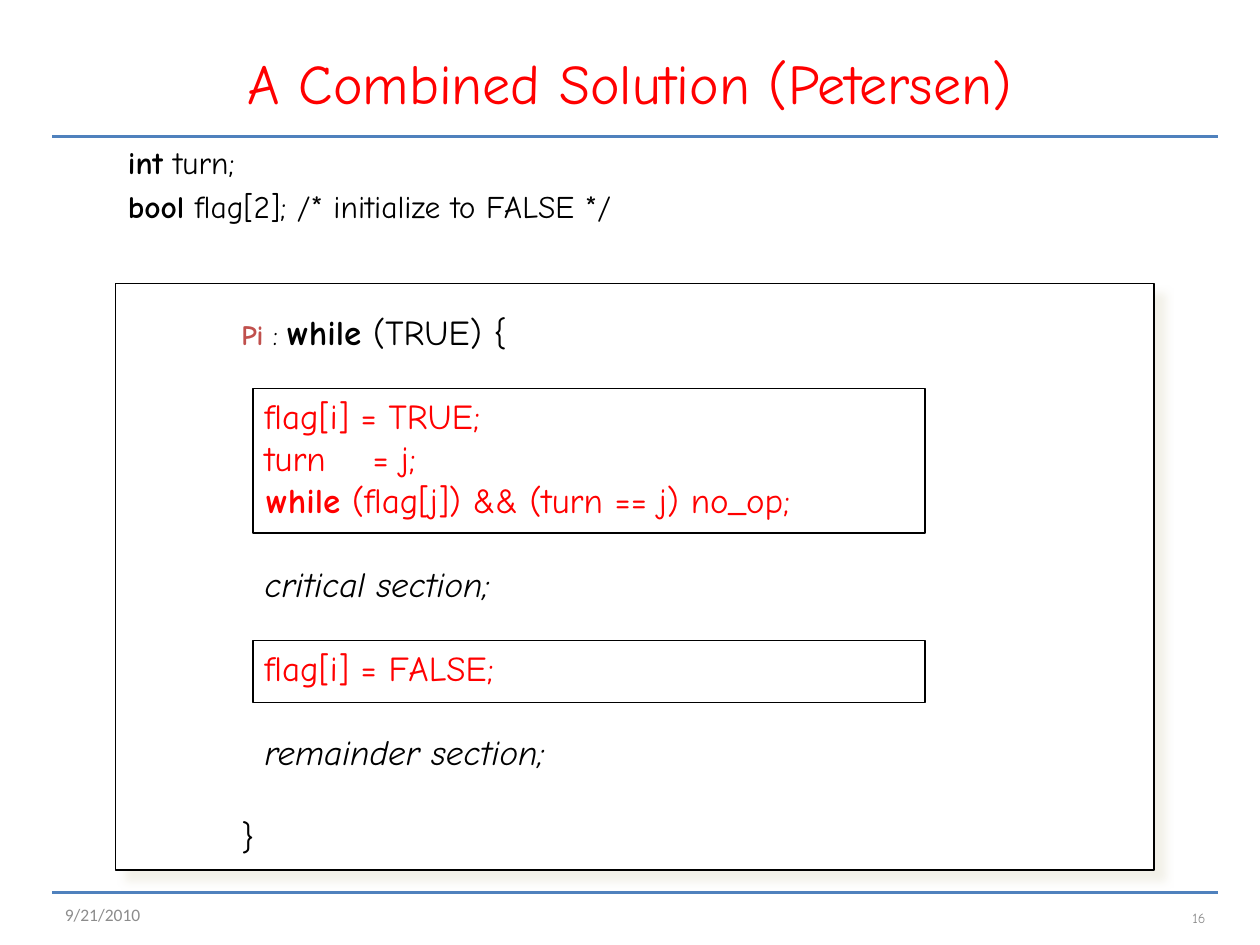
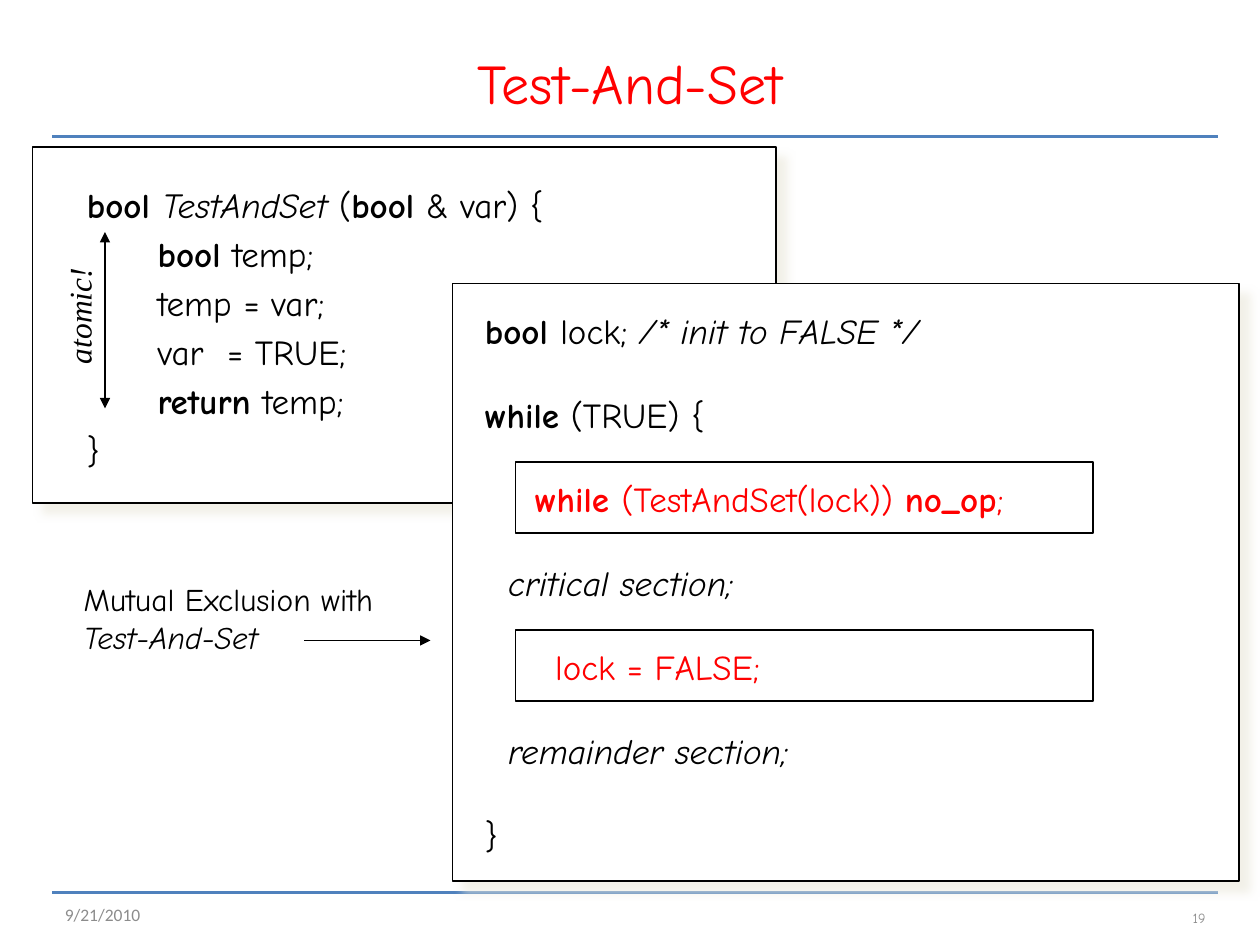
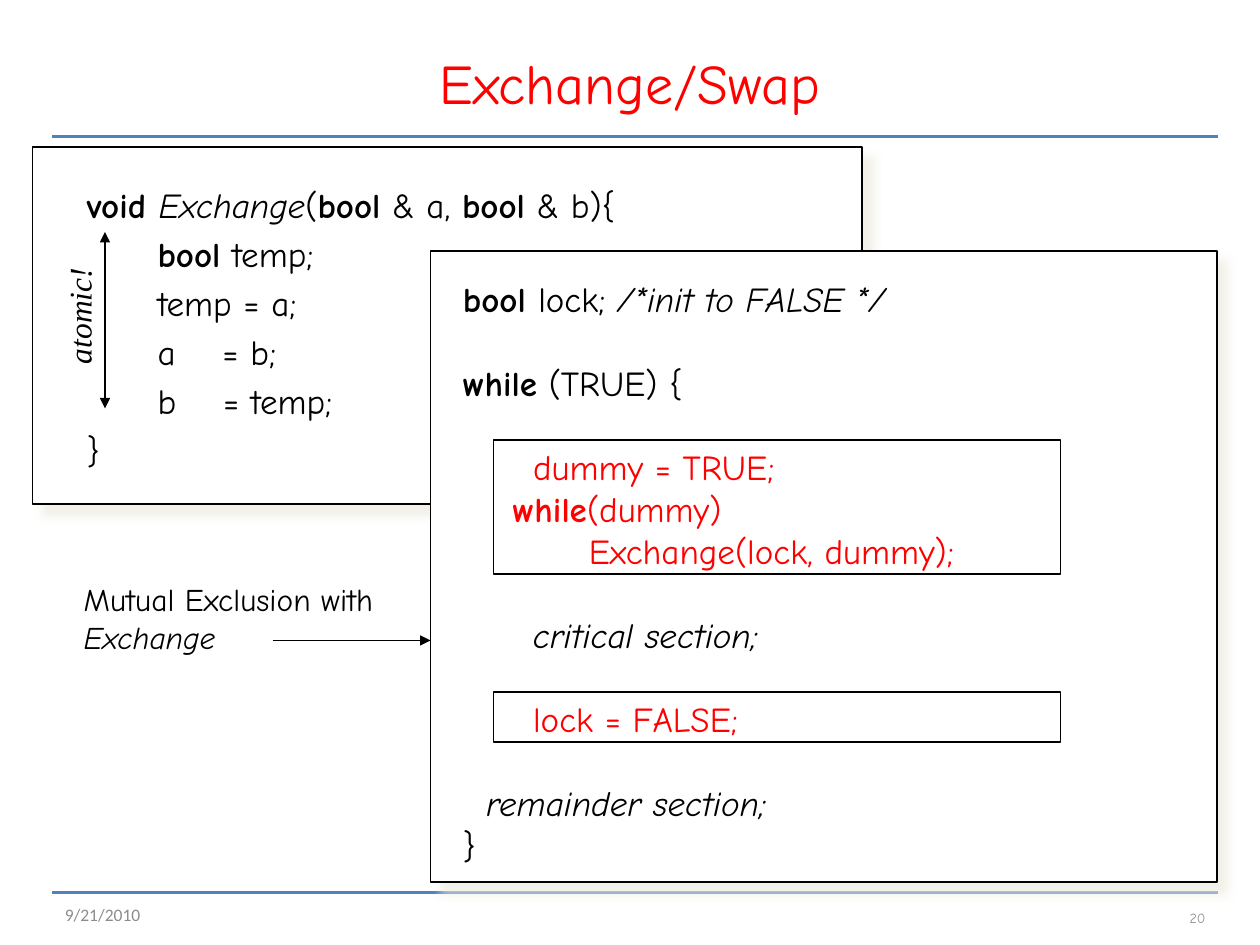
from dataclasses import dataclass
from typing import NamedTuple

from lxml import etree
from pptx import Presentation
from pptx.dml.color import RGBColor
from pptx.enum.shapes import MSO_CONNECTOR, MSO_SHAPE
from pptx.enum.text import MSO_ANCHOR, PP_ALIGN
from pptx.oxml.ns import qn
from pptx.util import Emu, Inches, Pt

STRAIGHT = MSO_CONNECTOR.STRAIGHT
RECTANGLE = MSO_SHAPE.RECTANGLE
TOP, MIDDLE = MSO_ANCHOR.TOP, MSO_ANCHOR.MIDDLE
LEFT, CENTER, RIGHT = PP_ALIGN.LEFT, PP_ALIGN.CENTER, PP_ALIGN.RIGHT

COLUMNS, ROWS = 120, 90
CELL = Inches(10) // COLUMNS


@dataclass(frozen=True)
class Theme:
    text: str = "000000"
    paper: str = "FFFFFF"
    title: str = "FF0000"
    accent: str = "C0504D"
    rule: str = "4F81BD"
    muted: str = "8C8C8C"
    shadow: str = "EEECE1"
    font: str = "Comic Neue"
    date_font: str = "Calibri"
    label_font: str = "Times New Roman"
    title_size: int = 32
    code_size: int = 20
    note_size: int = 18
    small_size: int = 16
    date_size: int = 10
    number_size: int = 8
    line_height: float = 1.2
    code_lead: float = 0.2


THEME = Theme()
BOLD = {"bold": True}
ITALIC = {"italic": True}
RED = {"color": THEME.title}
SMALL = {"size": Pt(THEME.small_size)}
MUTED = {"color": THEME.muted}


class Box(NamedTuple):
    col: float
    row: float
    cols: float
    rows: float


class Run(NamedTuple):
    text: str
    fmt: dict = {}


class Para(NamedTuple):
    runs: tuple[Run, ...]
    blank_lines: int = 0


class TextStyle(NamedTuple):
    size: int = THEME.code_size
    font: str = THEME.font
    align: PP_ALIGN = LEFT
    anchor: MSO_ANCHOR = TOP
    lead: float = 0
    hanging: float = 0
    tab: float = 0
    rotation: int = 0


class Arrow(NamedTuple):
    start: tuple[float, float]
    end: tuple[float, float]
    both_ends: bool = False


@dataclass(frozen=True)
class AtomicSlide:
    title: str
    number: int
    routine_panel: Box
    routine_text: Box
    routine: tuple[Para, ...]
    usage_panel: Box
    usage: tuple[Para, ...]
    frames: tuple[Box, ...]
    instruction: str
    arrow_start: float


TITLE = TextStyle(THEME.title_size, align=CENTER, anchor=MIDDLE)
CODE = TextStyle(tab=12)
ROUTINE = TextStyle(lead=THEME.code_lead, hanging=4.5)
DECLARATION = ROUTINE._replace(size=THEME.note_size)
NOTE = TextStyle(THEME.note_size)
LABEL = TextStyle(THEME.note_size, THEME.label_font, align=CENTER, rotation=270)
DATE = TextStyle(THEME.date_size, THEME.date_font, anchor=MIDDLE)
NUMBER = TextStyle(THEME.number_size, align=RIGHT, anchor=MIDDLE)


def grid(value: float) -> Emu:
    return Emu(round(value * CELL))


def rgb(value: str) -> RGBColor:
    return RGBColor.from_string(value)


def para(*runs: Run, blank_lines: int = 0) -> Para:
    return Para(runs, blank_lines)


def plain(text: str, blank_lines: int = 0, **fmt) -> Para:
    return Para((Run(text, fmt),), blank_lines)


def child(parent, tag: str, **attributes: str):
    return etree.SubElement(parent, qn(tag), attributes)


def draw_text(s, box: Box, paras: tuple[Para, ...], style: TextStyle) -> None:
    sp = s.shapes.add_textbox(*map(grid, box))
    sp.rotation = style.rotation
    tf = sp.text_frame
    tf.word_wrap = True
    tf.vertical_anchor = style.anchor
    for index, item in enumerate(paras):
        p = tf.paragraphs[0] if index == 0 else tf.add_paragraph()
        p.alignment = style.align
        if index:
            lines = item.blank_lines * THEME.line_height + style.lead
            p.space_before = Pt(style.size * lines)
        pPr = p._p.get_or_add_pPr()
        if style.hanging:
            indent = grid(style.hanging)
            pPr.set("marL", str(indent))
            pPr.set("indent", str(-indent))
        if style.tab:
            tabs = child(pPr, "a:tabLst")
            child(tabs, "a:tab", pos=str(grid(style.tab)), algn="l")
        for run in item.runs:
            r = p.add_run()
            r.text = run.text
            fmt = {"name": style.font, "size": Pt(style.size),
                   "color": THEME.text} | run.fmt
            r.font.color.rgb = rgb(fmt.pop("color"))
            for name, value in fmt.items():
                setattr(r.font, name, value)


def draw_line(s, start: tuple, end: tuple, color: str, width: float):
    sp = s.shapes.add_connector(STRAIGHT, *map(grid, start + end))
    sp.line.color.rgb = rgb(color)
    sp.line.width = Pt(width)
    child(sp._element.spPr, "a:effectLst")
    return sp


def draw_arrow(s, arrow: Arrow) -> None:
    sp = draw_line(s, arrow.start, arrow.end, THEME.text, 1)
    ln = sp.line._get_or_add_ln()
    if arrow.both_ends:
        child(ln, "a:headEnd", type="triangle")
    child(ln, "a:tailEnd", type="triangle")


def draw_frame(s, box: Box):
    sp = s.shapes.add_shape(RECTANGLE, *map(grid, box))
    sp.shadow.inherit = False
    sp.fill.background()
    sp.line.color.rgb = rgb(THEME.text)
    sp.line.width = Pt(1)
    return sp


def draw_panel(s, box: Box) -> None:
    sp = draw_frame(s, box)
    sp.fill.solid()
    sp.fill.fore_color.rgb = rgb(THEME.paper)
    effects = sp._element.spPr.find(qn("a:effectLst"))
    shadow = child(effects, "a:outerShdw", blurRad=str(Pt(5)),
                   dist=str(Pt(8.5)), dir=str(45 * 60000),
                   algn="ctr", rotWithShape="0")
    color = child(shadow, "a:srgbClr", val=THEME.shadow)
    child(color, "a:alpha", val="75000")


def start_slide(prs, title: str, number: int):
    s = prs.slides.add_slide(prs.slide_layouts[6])
    for row in (13, 85):
        draw_line(s, (5, row), (116, row), THEME.rule, 2)
    draw_text(s, Box(6, 3.6, 108, 8.4), (plain(title, **RED),), TITLE)
    draw_text(s, Box(5, 85.2, 18, 3.8), (plain("9/21/2010", **MUTED),), DATE)
    draw_text(s, Box(105, 85, 11, 4.8), (plain(str(number), **MUTED),), NUMBER)
    return s


def combined_slide(prs) -> None:
    s = start_slide(prs, "A Combined Solution (Petersen)", 16)
    declarations = (
        para(Run("int", BOLD), Run(" turn;")),
        para(Run("bool", BOLD), Run(" flag[2]; /* initialize to FALSE */")),
    )
    process = (
        para(Run("Pi", SMALL | BOLD | {"color": THEME.accent}), Run(" : ", SMALL),
             Run("while", BOLD), Run(" (TRUE) {")),
        plain("  flag[i] = TRUE;", 1, **RED),
        plain("  turn    = j;", **RED),
        para(Run("  while", RED | BOLD),
             Run(" (flag[j]) && (turn == j) no_op;", RED)),
        plain("  critical section;", 1, **ITALIC),
        plain("  flag[i] = FALSE;", 1, **RED),
        plain("  remainder section;", 1, **ITALIC),
        plain("}", 1),
    )
    draw_text(s, Box(11, 13, 106, 15), declarations, DECLARATION)
    draw_panel(s, Box(11, 27, 98.9, 55.9))
    draw_text(s, Box(21.8, 29, 90.1, 53.2), process, CODE)
    for row, rows in ((37, 13.8), (61, 5.9)):
        draw_frame(s, Box(24.1, row, 64, rows))


def atomic_slide(prs, content: AtomicSlide) -> None:
    s = start_slide(prs, content.title, content.number)
    draw_panel(s, content.routine_panel)
    draw_text(s, content.routine_text, content.routine, ROUTINE)
    panel = content.usage_panel
    draw_panel(s, panel)
    inner = Box(panel.col + 1.9, panel.row + 1.9, 70, panel.rows - 3.4)
    draw_text(s, inner, content.usage, CODE)
    for frame in content.frames:
        draw_frame(s, frame)
    draw_arrow(s, Arrow((10, 22.1), (10, 38.9), both_ends=True))
    draw_text(s, Box(1.3, 27.7, 12.5, 4.8), (plain("atomic!", **ITALIC),), LABEL)
    note = (plain("Mutual Exclusion with"), plain(content.instruction, **ITALIC))
    draw_text(s, Box(6.8, 54.7, 33.1, 8.4), note, NOTE)
    draw_arrow(s, Arrow((content.arrow_start, 61), (41, 61)))


TEMP_LINE = para(Run("\t  "), Run("bool", BOLD), Run(" temp;"))
LOOP_LINE = para(Run("while", BOLD), Run(" (TRUE) {"), blank_lines=1)


def lock_line(comment: str) -> Para:
    return para(Run("bool ", BOLD), Run("lock; "), Run(comment, ITALIC))


ATOMIC_SLIDES = (
    AtomicSlide(
        title="Test-And-Set",
        number=19,
        routine_panel=Box(3.1, 14, 70.8, 33.9),
        routine_text=Box(7.1, 16.9, 63.2, 29.2),
        routine=(
            para(Run("bool ", BOLD), Run("TestAndSet ", ITALIC), Run("("),
                 Run("bool", BOLD), Run(" & var) {")),
            TEMP_LINE,
            plain("\t  temp = var;"),
            plain("\t  var  = TRUE;"),
            para(Run("\t  "), Run("return", BOLD), Run(" temp;")),
            plain("}"),
        ),
        usage_panel=Box(43.1, 27, 74.9, 56.9),
        usage=(
            lock_line("/* init to FALSE */"),
            LOOP_LINE,
            para(Run("    while ", RED | BOLD), Run("(TestAndSet(lock)) ", RED),
                 Run("no_op", RED | BOLD), Run(";", RED), blank_lines=1),
            plain("  critical section;", 1, **ITALIC),
            plain("      lock = FALSE;", 1, **RED),
            plain("  remainder section;", 1, **ITALIC),
            plain("}", 1),
        ),
        frames=tuple(Box(49.1, row, 55, 6.8) for row in (44, 60)),
        instruction="Test-And-Set",
        arrow_start=29,
    ),
    AtomicSlide(
        title="Exchange/Swap",
        number=20,
        routine_panel=Box(3.1, 14, 79, 34),
        routine_text=Box(7.1, 16.9, 76.8, 29.2),
        routine=(
            para(Run("void ", BOLD), Run("Exchange", ITALIC), Run("("),
                 Run("bool", BOLD), Run(" & a, "), Run("bool", BOLD),
                 Run(" & b){")),
            TEMP_LINE,
            plain("\t  temp = a;"),
            plain("\t  a    = b;"),
            plain("\t  b    = temp;"),
            plain("}"),
        ),
        usage_panel=Box(41, 23.9, 74.9, 60.1),
        usage=(
            lock_line("/*init to FALSE */"),
            LOOP_LINE,
            plain("      dummy = TRUE;", 1, **RED),
            para(Run("    while", RED | BOLD), Run("(dummy)", RED)),
            plain("\tExchange(lock, dummy);", **RED),
            plain("      critical section;", 1, **ITALIC),
            plain("      lock = FALSE;", 1, **RED),
            plain("  remainder section;", 1, **ITALIC),
            plain("}"),
        ),
        frames=(Box(47, 41.9, 54, 12.8), Box(47, 65.9, 54, 4.8)),
        instruction="Exchange",
        arrow_start=26,
    ),
)


def main() -> None:
    prs = Presentation()
    prs.slide_width = grid(COLUMNS)
    prs.slide_height = grid(ROWS)
    combined_slide(prs)
    for content in ATOMIC_SLIDES:
        atomic_slide(prs, content)
    prs.save("out.pptx")


if __name__ == "__main__":
    main()
